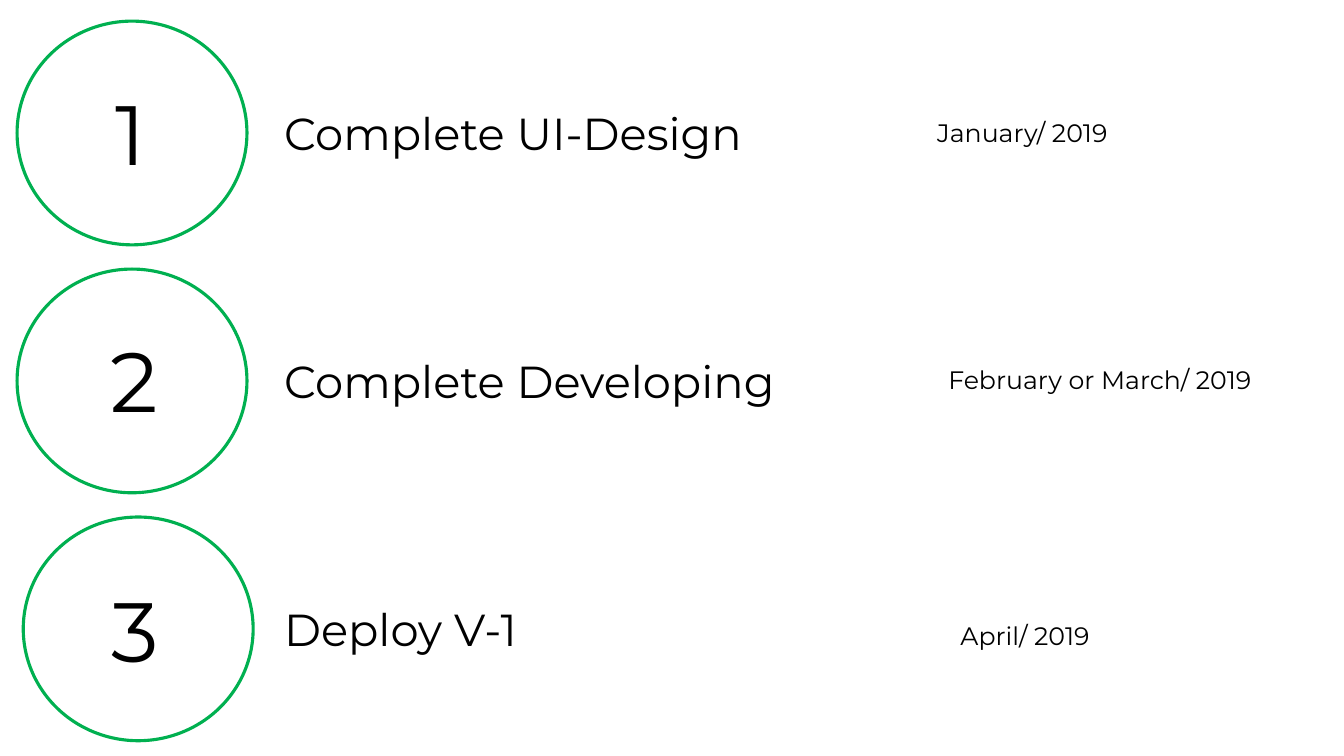
import dataclasses

import pptx
import pptx.dml.color
import pptx.enum.shapes
import pptx.enum.text
import pptx.util

Pt = pptx.util.Pt

COLORS = {"background": "FFFFFF", "ring": "00B050", "text": "000000"}
FONT = "Montserrat"
FIRST_TOP = 15.1
ROW_PITCH = 177.1
RING_WIDTH, RING_HEIGHT = 164.2, 159.8
TASK_LEFT, TASK_OFFSET = 195.8, 56.7


@dataclasses.dataclass(frozen=True)
class Label:
    text: str
    left: float
    offset: float
    width: float
    height: float
    size: float


@dataclasses.dataclass(frozen=True)
class Milestone:
    ring_left: float
    number: Label
    task: Label
    date: Label


def number_label(text: str, left: float, offset: float, width: float) -> Label:
    return Label(text, left, offset, width, 80, 60)


def task_label(text: str, width: float) -> Label:
    return Label(text, TASK_LEFT, TASK_OFFSET, width, 46, 32)


def date_label(text: str, left: float, offset: float, width: float) -> Label:
    return Label(text, left, offset, width, 29, 18)


MILESTONES = [
    Milestone(
        12.2,
        number_label("1", 75.6, 39.6, 38.5),
        task_label("Complete UI-Design", 534.2),
        date_label("January/ 2019", 662.4, 64.8, 153),
    ),
    Milestone(
        12.2,
        number_label("2", 72, 39, 54),
        task_label("Complete Developing", 389.5),
        date_label("February or March/ 2019", 670.3, 64.8, 241),
    ),
    Milestone(
        16.6,
        number_label("3", 72.7, 40.3, 52),
        task_label("Deploy V-1", 186.5),
        date_label("April/ 2019", 679, 69.9, 136),
    ),
]


def color(name: str) -> pptx.dml.color.RGBColor:
    return pptx.dml.color.RGBColor.from_string(COLORS[name])


def add_label(shapes, label: Label, row_top: float) -> None:
    text_box = shapes.add_textbox(
        Pt(label.left), Pt(row_top + label.offset), Pt(label.width), Pt(label.height)
    )
    text_frame = text_box.text_frame
    text_frame.word_wrap = True
    text_frame.auto_size = pptx.enum.text.MSO_AUTO_SIZE.SHAPE_TO_FIT_TEXT
    paragraph = text_frame.paragraphs[0]
    paragraph.text = label.text
    paragraph.font.name = FONT
    paragraph.font.size = Pt(label.size)
    paragraph.font.color.rgb = color("text")


def add_ring(shapes, left: float, top: float) -> None:
    ring = shapes.add_shape(
        pptx.enum.shapes.MSO_SHAPE.FLOWCHART_CONNECTOR,
        Pt(left), Pt(top), Pt(RING_WIDTH), Pt(RING_HEIGHT),
    )
    ring.shadow.inherit = False
    ring.fill.solid()
    ring.fill.fore_color.rgb = color("background")
    ring.line.color.rgb = color("ring")
    ring.line.width = Pt(2.25)


def add_milestone(slide, milestone: Milestone, row_top: float) -> None:
    badge = slide.shapes.add_group_shape()
    add_ring(badge.shapes, milestone.ring_left, row_top)
    add_label(badge.shapes, milestone.number, row_top)
    add_label(slide.shapes, milestone.task, row_top)
    add_label(slide.shapes, milestone.date, row_top)


presentation = pptx.Presentation()
presentation.slide_width = Pt(960)
presentation.slide_height = Pt(540)
slide = presentation.slides.add_slide(presentation.slide_layouts[6])
slide.background.fill.solid()
slide.background.fill.fore_color.rgb = color("background")

for row, milestone in enumerate(MILESTONES):
    add_milestone(slide, milestone, FIRST_TOP + row * ROW_PITCH)

presentation.save("out.pptx")
